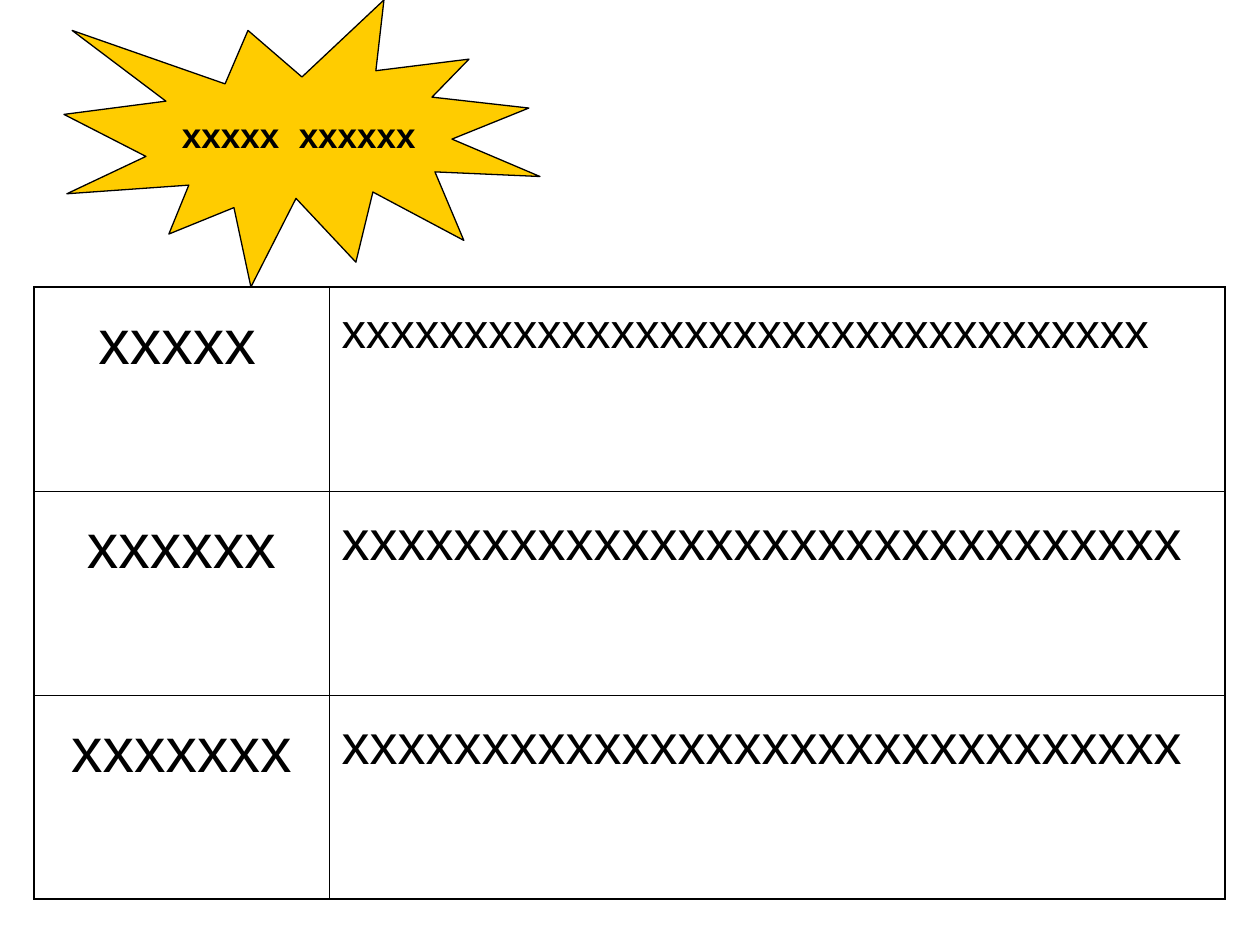
"""Build a slide with a starburst heading above a two-column table."""
import dataclasses

import pptx
import pptx.dml.color
import pptx.enum.shapes
import pptx.enum.text
import pptx.oxml
import pptx.oxml.ns
import pptx.util

EMU_PER_PX = 914400 / 126
ALIGN = pptx.enum.text.PP_ALIGN


def px(length):
    return pptx.util.Emu(round(length * EMU_PER_PX))


@dataclasses.dataclass(frozen=True)
class Theme:
    font: str = "Arial"
    ink: str = "000000"
    burst: str = "FFCC00"
    burst_size: int = 20
    label_size: int = 36
    long_text_size: int = 28
    text_size: int = 32
    space_size: int = 18
    burst_line: float = 0.75
    outer_border: float = 1.08
    inner_border: float = 0.45
    line_spacing: float = 1.2


class SlideBuilder:
    def __init__(self, slide, theme):
        self.slide = slide
        self.theme = theme

    def color(self, value):
        return pptx.dml.color.RGBColor.from_string(value)

    def add_runs(self, paragraph, runs, alignment, bold=False):
        paragraph.alignment = alignment
        for text, size in runs:
            run = paragraph.add_run()
            run.text = text
            run.font.name = self.theme.font
            run.font.size = pptx.util.Pt(size)
            run.font.bold = bold
            run.font.color.rgb = self.color(self.theme.ink)

    def burst(self, left, top, width, height, text):
        shape = self.slide.shapes.add_shape(
            pptx.enum.shapes.MSO_SHAPE.EXPLOSION1,
            px(left), px(top), px(width), px(height))
        shape.shadow.inherit = False
        shape.fill.solid()
        shape.fill.fore_color.rgb = self.color(self.theme.burst)
        shape.line.color.rgb = self.color(self.theme.ink)
        shape.line.width = pptx.util.Pt(self.theme.burst_line)
        frame = shape.text_frame
        frame.word_wrap = False
        frame.vertical_anchor = pptx.enum.text.MSO_ANCHOR.MIDDLE
        self.add_runs(frame.paragraphs[0], [(text, self.theme.burst_size)],
                      ALIGN.CENTER, bold=True)

    def border(self, cell, side, points):
        cell._tc.get_or_add_tcPr().append(pptx.oxml.parse_xml(
            f'<a:ln{side} {pptx.oxml.ns.nsdecls("a")} w="{pptx.util.Pt(points)}">'
            f'<a:solidFill><a:srgbClr val="{self.theme.ink}"/></a:solidFill>'
            f'</a:ln{side}>'))

    def table(self, left, top, column_widths, row_height, rows):
        row_count, column_count = len(rows), len(column_widths)
        table = self.slide.shapes.add_table(
            row_count, column_count, px(left), px(top),
            px(sum(column_widths)), px(row_height * row_count)).table
        table.first_row = table.horz_banding = False
        for column, width in zip(table.columns, column_widths):
            column.width = px(width)
        for row_index, row in enumerate(rows):
            table.rows[row_index].height = px(row_height)
            for column_index, runs in enumerate(row):
                cell = table.cell(row_index, column_index)
                outer_sides = {
                    "L": column_index == 0,
                    "R": column_index == column_count - 1,
                    "T": row_index == 0,
                    "B": row_index == row_count - 1,
                }
                for side, is_outer in outer_sides.items():
                    self.border(cell, side, self.theme.outer_border if is_outer
                                else self.theme.inner_border)
                cell.fill.background()
                paragraph = cell.text_frame.paragraphs[0]
                paragraph.line_spacing = self.theme.line_spacing
                self.add_runs(paragraph, runs,
                              ALIGN.LEFT if column_index else ALIGN.CENTER)


def main():
    presentation = pptx.Presentation()
    presentation.slide_width = px(1260)
    presentation.slide_height = px(945)
    slide = presentation.slides.add_slide(presentation.slide_layouts[6])
    theme = Theme()
    builder = SlideBuilder(slide, theme)
    space = (" ", theme.space_size)
    rows = [
        ([("xxxxx", theme.label_size), space],
         [("xxxxxxxxxxxxxxxxxxxxxxxxxxxxxxxxx", theme.long_text_size)]),
        ([("xxxxxx", theme.label_size)],
         [("xxxxxxxxxxxxxxxxxxxxxxxxxxxxxx", theme.text_size), space]),
        ([("xxxxxxx", theme.label_size)],
         [("xxxxxxxxxxxxxxxxxxxxxxxxxxxxxx", theme.text_size)]),
    ]
    builder.burst(64, 0, 476, 287, "xxxxx  xxxxxx")
    builder.table(34, 287, [295, 896], 204, rows)
    presentation.save("out.pptx")


if __name__ == "__main__":
    main()
